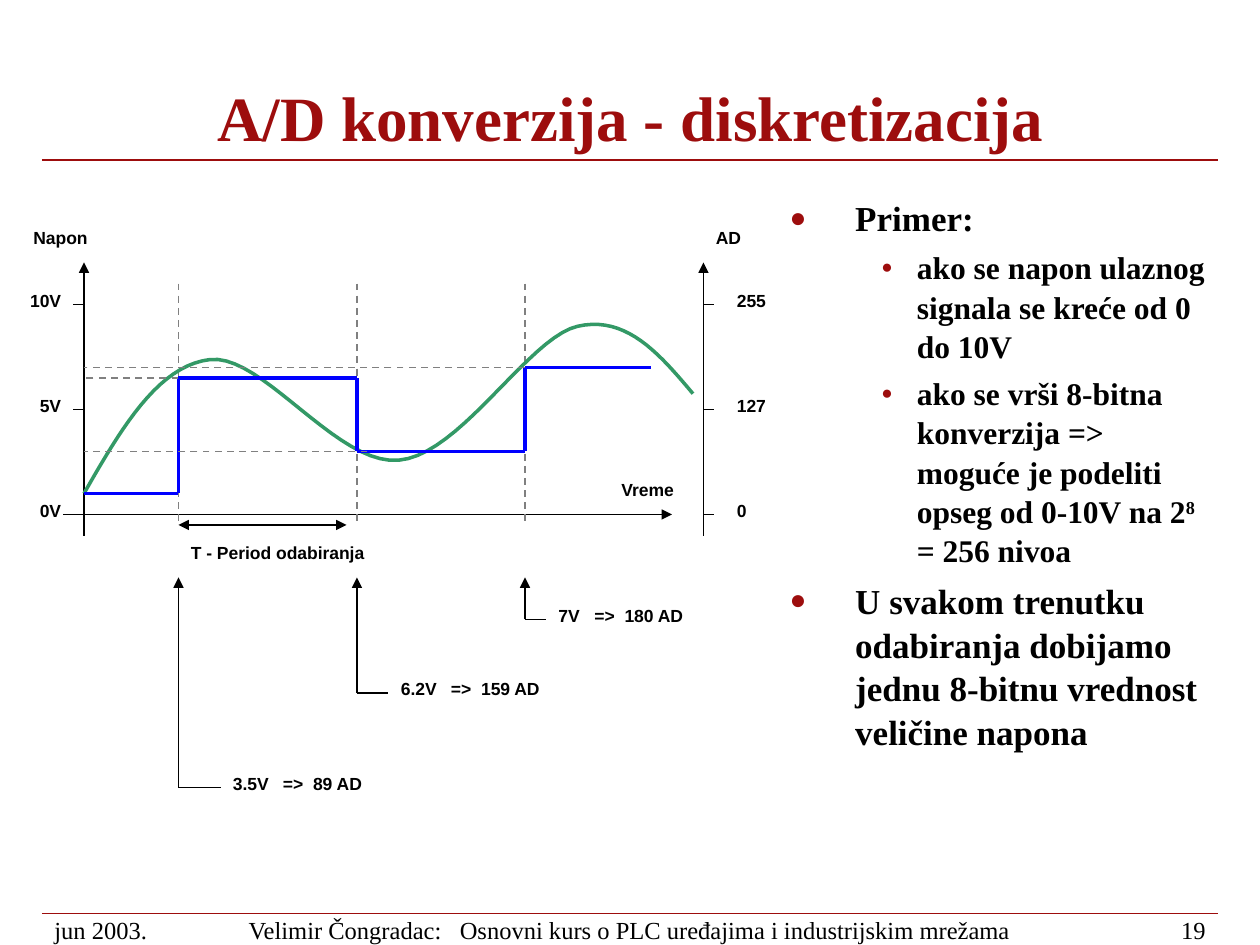
from lxml.etree import SubElement
from pptx import Presentation
from pptx.dml.color import RGBColor
from pptx.enum.dml import MSO_LINE
from pptx.enum.shapes import MSO_CONNECTOR, MSO_SHAPE
from pptx.enum.text import MSO_ANCHOR, MSO_AUTO_SIZE, PP_ALIGN
from pptx.oxml.ns import qn
from pptx.util import Pt

RED, BLACK, GRAY = "9D0D0D", "000000", "808080"
BLUE, GREEN, WHITE = "0000FF", "339966", "FFFFFF"
SERIF, SANS = "Times New Roman", "Arial"

VOLT_AXIS, AD_AXIS, TIME_AXIS = 48, 402, 294
SAMPLES = [102, 204, 300]
SCALE = [(174, "10V", "255"), (234, "5V", "127"), (294, "0V", "0")]
STEP_LEVELS = [282, 216, 258, 210]
STEP_EDGES = [VOLT_AXIS, *SAMPLES, 372]
READINGS = [
    (102, 450, 126, ["3.5V", "=>", "89 AD"], [28.6, 45.8]),
    (204, 396, 222, ["6.2V", "=>", "159 AD"], [28.6, 45.8]),
    (300, 354, 312, ["7V", "=>", "180 AD"], [20.6, 37.8]),
]
SIGNAL = [
    [(48, 282), (69, 245.5), (90, 209), (120, 205.5)],
    [(120, 205.5), (150, 202), (193, 266.5), (228, 263)],
    [(228, 263), (263, 260), (302, 193), (330, 186.5)],
    [(330, 186.5), (358, 180), (377, 202.5), (396, 225)],
]


def color(value):
    return RGBColor.from_string(value)


def style_font(font, name, size, value, bold=False):
    font.name, font.size, font.bold = name, Pt(size), bold
    font.color.rgb = color(value)


def add_tabs(para, stops):
    tabs = SubElement(para._p.get_or_add_pPr(), qn("a:tabLst"))
    for stop in stops:
        SubElement(tabs, qn("a:tab"), pos=str(Pt(stop)), algn="l")


def add_bullet(para, value, percent, left, hanging):
    props = para._p.get_or_add_pPr()
    props.set("marL", str(Pt(left)))
    props.set("indent", str(-Pt(hanging)))
    SubElement(SubElement(props, qn("a:buClr")), qn("a:srgbClr"), val=value)
    SubElement(props, qn("a:buSzPct"), val=str(percent * 1000))
    SubElement(props, qn("a:buFont"), typeface=SERIF)
    SubElement(props, qn("a:buChar"), char="●")


def add_line(page, start, end, value=BLACK, width=1, dashed=False, ends=()):
    line = page.shapes.add_connector(
        MSO_CONNECTOR.STRAIGHT, *(Pt(length) for length in (*start, *end)))
    line.line.width = Pt(width)
    line.line.color.rgb = color(value)
    if dashed:
        line.line.dash_style = MSO_LINE.DASH
    for end_name in ends:
        SubElement(line.line._get_or_add_ln(), qn(end_name), type="triangle")
    SubElement(line._element.spPr, qn("a:effectLst"))


def add_label(page, text, left, top, width, align=PP_ALIGN.LEFT, stops=()):
    box = page.shapes.add_shape(
        MSO_SHAPE.RECTANGLE, Pt(left), Pt(top), Pt(width), Pt(19.5))
    box.shadow.inherit = False
    box.fill.solid()
    box.fill.fore_color.rgb = color(WHITE)
    box.line.fill.background()
    frame = box.text_frame
    frame.word_wrap = True
    frame.auto_size = MSO_AUTO_SIZE.SHAPE_TO_FIT_TEXT
    frame.vertical_anchor = MSO_ANCHOR.TOP
    para = frame.paragraphs[0]
    para.text = text
    para.alignment = align
    if stops:
        add_tabs(para, stops)
    style_font(para.font, SANS, 10, BLACK, True)


def add_footer(page, text, left, width, align=PP_ALIGN.LEFT, stops=()):
    box = page.shapes.add_textbox(Pt(left), Pt(522), Pt(width), Pt(18))
    frame = box.text_frame
    frame.word_wrap = True
    frame.vertical_anchor = MSO_ANCHOR.MIDDLE
    para = frame.paragraphs[0]
    para.text = text
    para.alignment = align
    if stops:
        add_tabs(para, stops)
    style_font(para.font, SERIF, 14, BLACK)


def place(holder, left, top, width, height, anchor):
    holder.left, holder.top = Pt(left), Pt(top)
    holder.width, holder.height = Pt(width), Pt(height)
    holder.text_frame.auto_size = MSO_AUTO_SIZE.NONE
    holder.text_frame.vertical_anchor = anchor


def fill_title(title):
    place(title, 91.5, 33, 537.5, 58.5, MSO_ANCHOR.BOTTOM)
    para = title.text_frame.paragraphs[0]
    para.text = "A/D konverzija - diskretizacija"
    para.alignment = PP_ALIGN.CENTER
    para.line_spacing = 0.8
    style_font(para.font, SERIF, 36, RED, True)


def fill_body(body):
    place(body, 444, 108, 252, 354, MSO_ANCHOR.TOP)
    items = [
        (0, ["Primer:"]),
        (1, ["ako se napon ulaznog signala se kreće od 0 do 10V"]),
        (1, ["ako se vrši 8-bitna konverzija => moguće je podeliti "
             "opseg od 0-10V na 2", "8", " = 256 nivoa"]),
        (0, ["U svakom trenutku odabiranja dobijamo jednu 8-bitnu "
             "vrednost veličine napona"]),
    ]
    frame = body.text_frame
    for index, (level, texts) in enumerate(items):
        para = frame.add_paragraph() if index else frame.paragraphs[0]
        para.level = level
        size, percent, left, hanging, before = (
            (18, 60, 72.75, 20.25, 4.5) if level else (20, 80, 37.5, 37.5, 5))
        add_bullet(para, RED, percent, left, hanging)
        para.space_before = Pt(before if index else 0)
        para.line_spacing = 1.04
        for text in texts:
            span = para.add_run()
            span.text = text
            if text == "8":
                span.font._element.set("baseline", "30000")
        style_font(para.font, SERIF, size, BLACK, True)


def add_signal(page):
    points = []
    for a, b, c, d in SIGNAL:
        for step in range(20):
            t = step / 20
            weights = ((1 - t) ** 3, 3 * t * (1 - t) ** 2, 3 * t * t * (1 - t), t ** 3)
            points.append(tuple(
                Pt(sum(w * p[axis] for w, p in zip(weights, (a, b, c, d))))
                for axis in (0, 1)))
    points.append(tuple(Pt(length) for length in SIGNAL[-1][-1]))
    builder = page.shapes.build_freeform(*points[0])
    builder.add_line_segments(points[1:], close=False)
    curve = builder.convert_to_shape()
    curve.shadow.inherit = False
    curve.fill.background()
    curve.line.color.rgb = color(GREEN)
    curve.line.width = Pt(2)


def add_labels(page):
    add_label(page, "T - Period odabiranja", 102, 306, 120)
    add_label(page, "Napon", 12, 126, 60)
    add_label(page, "AD", 402, 126, 42)
    add_label(page, "Vreme", 348, 270, 60)
    for y, volts, code in SCALE:
        add_label(page, volts, 0, y - 12, 42, PP_ALIGN.RIGHT)
        add_label(page, code, 414, y - 12, 42)
    for _, y, left, texts, stops in READINGS:
        add_label(page, "\t".join(texts), left, y - 12, 120, stops=stops)


def add_diagram(page):
    arrow = ("a:tailEnd",)
    for x in (VOLT_AXIS, AD_AXIS):
        add_line(page, (x, 306), (x, 150), ends=arrow)
    add_line(page, (36, TIME_AXIS), (384, TIME_AXIS), ends=arrow)
    add_line(page, (102, 300), (198, 300), ends=("a:headEnd", "a:tailEnd"))
    for y, _, _ in SCALE:
        if y != TIME_AXIS:
            add_line(page, (VOLT_AXIS - 6, y), (VOLT_AXIS, y))
        add_line(page, (AD_AXIS, y), (AD_AXIS + 6, y))
    for x in SAMPLES:
        add_line(page, (x, 162), (x, 300), GRAY, dashed=True)
    add_signal(page)
    for left, right, y in zip(STEP_EDGES, STEP_EDGES[1:], STEP_LEVELS):
        add_line(page, (right, y), (left, y), BLUE, 1.75)
    for x, before, after in zip(SAMPLES, STEP_LEVELS, STEP_LEVELS[1:]):
        add_line(page, (x, max(before, after)), (x, min(before, after)), BLUE, 1.75)
    for x, y in ((210, 258), (102, 216), (300, 210)):
        add_line(page, (x, y), (VOLT_AXIS, y), GRAY, dashed=True)
    for x, y, right, _, _ in READINGS:
        add_line(page, (x, y), (x, 330), ends=arrow)
        add_line(page, (x, y), (right, y))


def main():
    deck = Presentation()
    deck.slide_width, deck.slide_height = Pt(720), Pt(540)
    page = deck.slides.add_slide(deck.slide_layouts[1])
    for y in (91.5, 522):
        add_line(page, (24, y), (696, y), RED)
    fill_title(page.shapes.title)
    fill_body(page.placeholders[1])
    add_footer(page, "jun 2003.", 24, 78)
    add_footer(page, "Velimir Čongradac:\tOsnovni kurs o PLC uređajima "
               "i industrijskim mrežama", 135, 483, stops=[120.6])
    add_footer(page, "19", 624, 72, PP_ALIGN.RIGHT)
    add_labels(page)
    add_diagram(page)
    deck.save("out.pptx")


if __name__ == "__main__":
    main()
